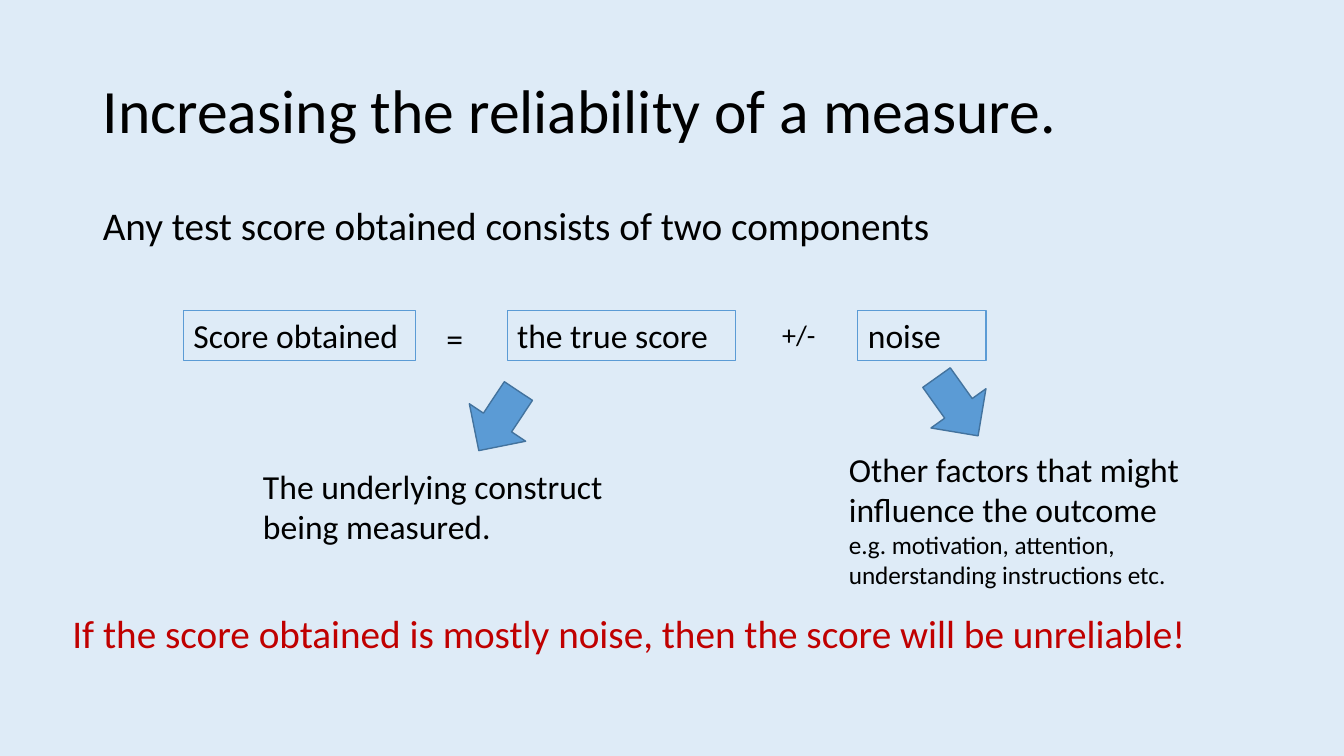
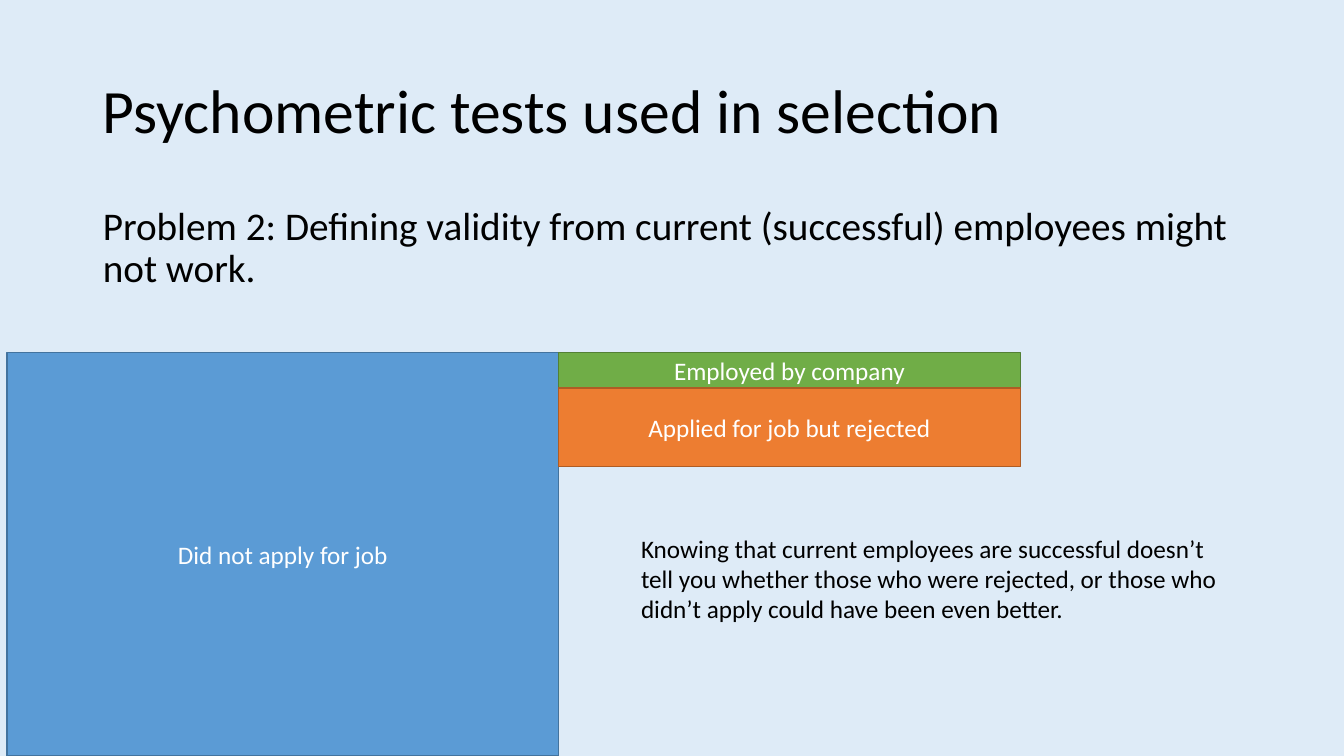
from dataclasses import dataclass

from lxml import etree
from pptx import Presentation
from pptx.dml import color
from pptx.enum import shapes, text
from pptx.oxml import ns
from pptx.util import Emu, Pt

PX = 9144
SLIDE = (1333, 750)


@dataclass(frozen=True)
class Theme:
    font: str = "Calibri"
    background: str = "DEEBF7"
    ink: str = "000000"
    white: str = "FFFFFF"
    warning: str = "C00000"
    blue: tuple = ("5B9BD5", "43739E")
    green: tuple = ("70AD47", "538035")
    orange: tuple = ("ED7D31", "AF5C24")
    title: int = 44
    lead: int = 28
    body: int = 24
    sign: int = 20
    small: int = 18


T = Theme()
TITLE_BOX = (92, 40, 1150, 145)
TITLE_FORMAT = {"line_spacing": 0.9, "space_before": Pt(0), "alignment": text.PP_ALIGN.LEFT}
LEAD_FORMAT = {"line_spacing": 0.9, "space_before": Pt(10), "alignment": text.PP_ALIGN.LEFT}
LEFT = {"alignment": text.PP_ALIGN.LEFT}
CENTER = {"alignment": text.PP_ALIGN.CENTER}
NOTE_FRAME = {
    "word_wrap": True,
    "auto_size": text.MSO_AUTO_SIZE.SHAPE_TO_FIT_TEXT,
    "vertical_anchor": text.MSO_ANCHOR.TOP,
}
FIXED_FRAME = {
    "word_wrap": True,
    "auto_size": text.MSO_AUTO_SIZE.NONE,
    "vertical_anchor": text.MSO_ANCHOR.MIDDLE,
}

RELIABILITY = {
    "title": "Increasing the reliability of a measure.",
    "lead": "Any test score obtained consists of two components",
    "lead_box": (92, 200, 960, 70),
}
TERM_TOP, TERM_HEIGHT = 308, 50
TERMS = [("Score obtained", 182, 230), ("the true score", 503, 227), ("noise", 851, 127)]
ARROW_SIZE = (67, 71)
ARROWS = [(461, 382, 33.6), (916, 368, 324.5)]
RELIABILITY_NOTES = [
    ((433, 310, 47, 50), [("=", T.body)], T.ink),
    ((766, 310, 67, 44), [("+/-", T.sign)], T.ink),
    ((251, 457, 365, 91), [("The underlying construct being measured.", T.body)], T.ink),
    (
        (832, 440, 429, 151),
        [
            ("Other factors that might influence the outcome", T.body),
            ("e.g. motivation, attention, understanding instructions etc.", T.small),
        ],
        T.ink,
    ),
    (
        (62, 600, 1160, 57),
        [("If the score obtained is mostly noise, then the score will be unreliable!", T.lead)],
        T.warning,
    ),
]

SELECTION = {
    "title": "Psychometric tests used in selection",
    "lead": "Problem 2: Defining validity from current (successful) employees might not work.",
    "lead_box": (92, 200, 1141, 108),
}
POPULATION_BOX = (7, 350, 547, 400)
APPLICANT_WIDTH = 458
APPLICANTS = [
    ("Employed by company", 35, T.green),
    ("Applied for job but rejected", 78, T.orange),
]
SELECTION_NOTES = [
    (
        (626, 524, 607, 101),
        [
            (
                "Knowing that current employees are successful doesn’t tell you whether those who "
                "were rejected, or those who didn’t apply could have been even better.",
                T.small,
            )
        ],
        T.ink,
    ),
]


def px(*lengths):
    return [Emu(n * PX) for n in lengths]


def rgb(value):
    return color.RGBColor.from_string(value)


def apply(obj, values):
    for name, value in values.items():
        setattr(obj, name, value)


def write(tf, lines, ink, frame, paragraph):
    apply(tf, frame)
    for i, (line, size) in enumerate(lines):
        p = tf.add_paragraph() if i else tf.paragraphs[0]
        apply(p, paragraph)
        r = p.add_run()
        r.text = line
        apply(r.font, {"name": T.font, "size": Pt(size)})
        r.font.color.rgb = rgb(ink)


def place(sp, box):
    apply(sp, dict(zip(("left", "top", "width", "height"), px(*box))))


def add_slide(prs, content):
    s = prs.slides.add_slide(prs.slide_layouts[1])
    title, lead = s.shapes.title, s.placeholders[1]
    place(title, TITLE_BOX)
    write(title.text_frame, [(content["title"], T.title)], T.ink, FIXED_FRAME, TITLE_FORMAT)
    place(lead, content["lead_box"])
    frame = {**FIXED_FRAME, "vertical_anchor": text.MSO_ANCHOR.TOP}
    write(lead.text_frame, [(content["lead"], T.lead)], T.ink, frame, LEAD_FORMAT)
    pPr = lead.text_frame.paragraphs[0]._p.get_or_add_pPr()
    pPr.set("marL", "0")
    pPr.set("indent", "0")
    etree.SubElement(pPr, ns.qn("a:buNone"))
    return s


def add_shape(s, kind, box, fill, line, width):
    sp = s.shapes.add_shape(kind, *px(*box))
    sp.shadow.inherit = False
    if fill:
        sp.fill.solid()
        sp.fill.fore_color.rgb = rgb(fill)
    else:
        sp.fill.background()
    sp.line.color.rgb = rgb(line)
    sp.line.width = Pt(width)
    return sp


def add_block(s, label, box, colors):
    sp = add_shape(s, shapes.MSO_SHAPE.RECTANGLE, box, *colors, 1)
    write(sp.text_frame, [(label, T.small)], T.white, FIXED_FRAME, CENTER)


def add_notes(s, notes):
    for box, lines, ink in notes:
        sp = s.shapes.add_textbox(*px(*box))
        write(sp.text_frame, lines, ink, NOTE_FRAME, LEFT)


def build_reliability(prs):
    s = add_slide(prs, RELIABILITY)
    for label, left, width in TERMS:
        box = (left, TERM_TOP, width, TERM_HEIGHT)
        sp = add_shape(s, shapes.MSO_SHAPE.RECTANGLE, box, None, T.blue[0], 0.75)
        write(sp.text_frame, [(label, T.body)], T.ink, NOTE_FRAME, LEFT)
    for left, top, angle in ARROWS:
        sp = add_shape(s, shapes.MSO_SHAPE.DOWN_ARROW, (left, top, *ARROW_SIZE), *T.blue, 1)
        sp.rotation = angle
    add_notes(s, RELIABILITY_NOTES)


def build_selection(prs):
    s = add_slide(prs, SELECTION)
    add_block(s, "Did not apply for job", POPULATION_BOX, T.blue)
    left, top, width, _ = POPULATION_BOX
    for label, height, colors in APPLICANTS:
        add_block(s, label, (left + width, top, APPLICANT_WIDTH, height), colors)
        top += height
    add_notes(s, SELECTION_NOTES)


def main():
    prs = Presentation()
    apply(prs, dict(zip(("slide_width", "slide_height"), px(*SLIDE))))
    fill = prs.slide_master.background.fill
    fill.solid()
    fill.fore_color.rgb = rgb(T.background)
    build_reliability(prs)
    build_selection(prs)
    prs.save("out.pptx")


if __name__ == "__main__":
    main()
